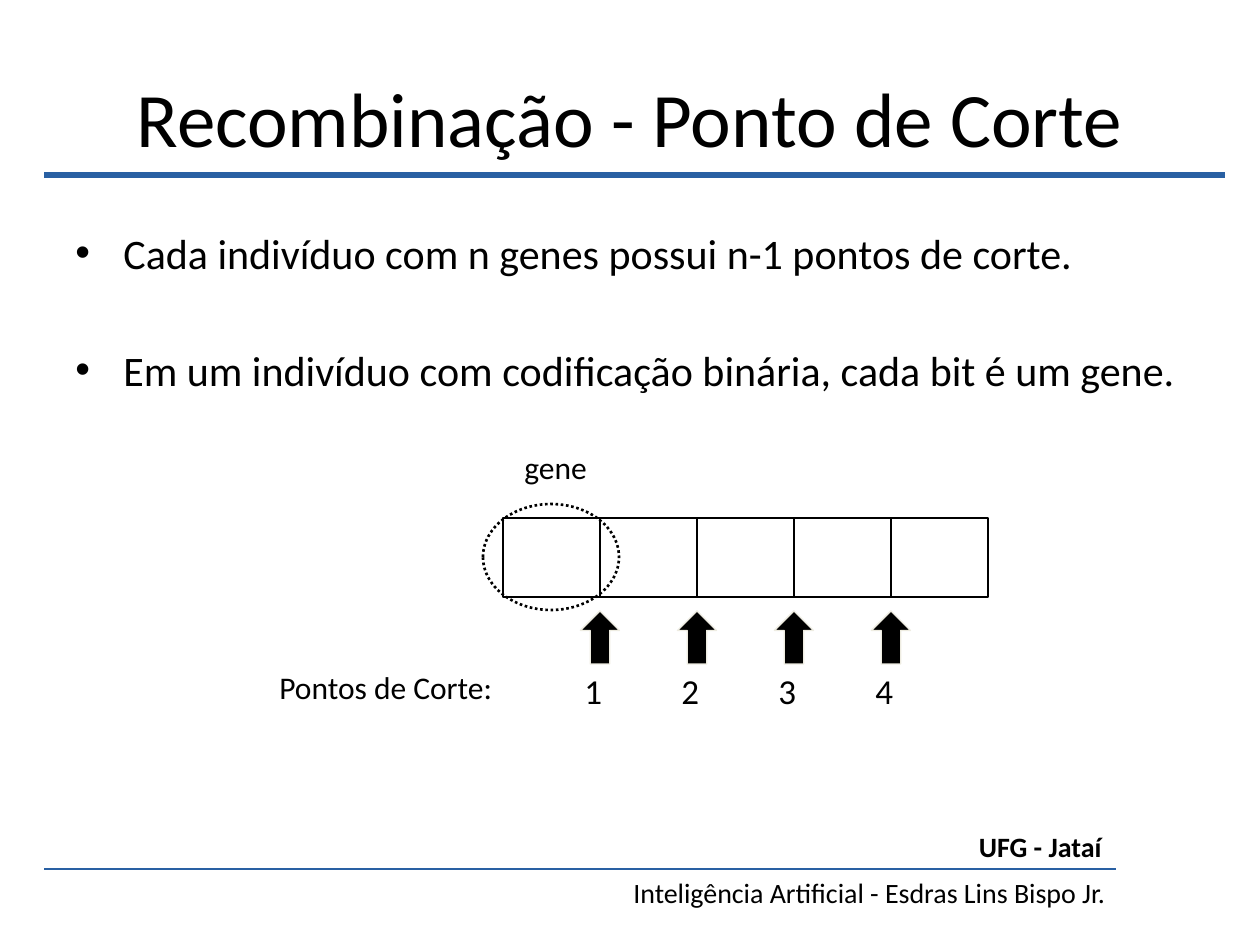
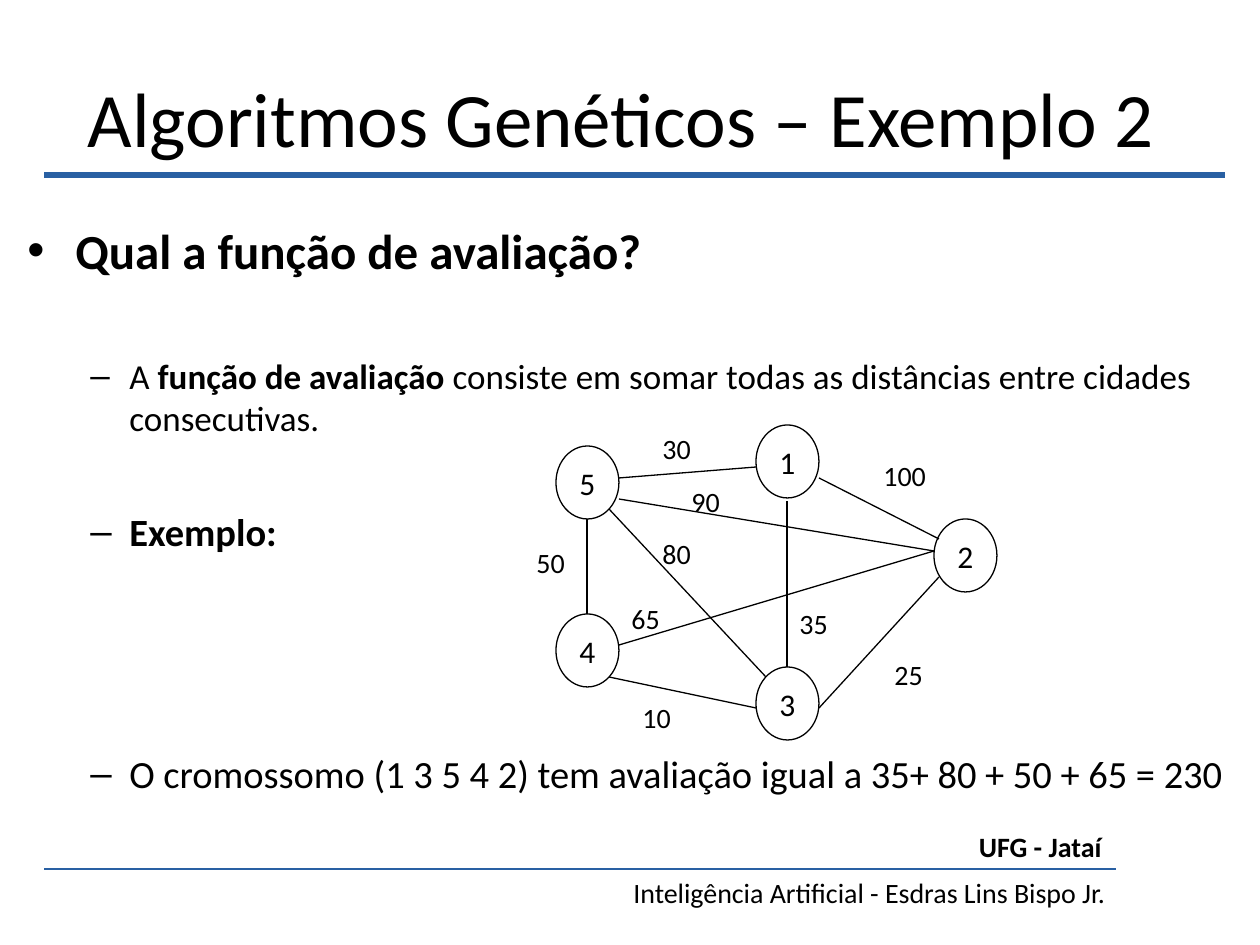
from lxml.etree import SubElement
from pptx import Presentation
from pptx.dml.color import RGBColor
from pptx.enum.dml import MSO_LINE
from pptx.enum.shapes import MSO_CONNECTOR, MSO_SHAPE
from pptx.enum.text import MSO_ANCHOR, MSO_AUTO_SIZE, PP_ALIGN
from pptx.oxml.ns import qn
from pptx.util import Emu, Pt

# Shared style
FONT = "Calibri"
COLORS = {"text": "000000", "rule": "2960A3", "arrow_edge": "EEECE1"}
PX_PER_INCH = 126
TITLE_BOX = (63, 38, 1134, 157)
RULES = [(1225, 44, 175, 3), (1116, 44, 869, 1.5)]  # right, left, y, weight
FOOTER = [("UFG - Jataí", (964, 823, 150, 47), True),
          ("Inteligência Artificial - Esdras Lins Bispo Jr.", (615, 869, 503, 47), False)]
BULLETS = [("•", 48, 48), ("–", 102, 39)]  # per level: mark, margin, hanging

# Slide 1: paragraphs are (level, size, space before, [(text, bold)])
CUT_TITLE = "Recombinação - Ponto de Corte"
CUT_BOX = (63, 221, 1134, 624)
CUT_BODY = [
    (0, 24, 0, [("Cada indivíduo com n genes possui n-1 pontos de corte.", False)]),
    (0, 24, 38, [("Em um indivíduo com codificação binária, cada bit é um gene.", False)]),
]
GENE_COUNT = 5
GENE_LEFT, GENE_TOP, GENE_W, GENE_H = 503, 518, 97, 79
ARROW_TOP, ARROW_W, ARROW_H = 611, 39, 53
GENE_RING = (483, 504, 136, 106)
CUT_LABELS = [("gene", (512, 442, 88, 50)), ("Pontos de Corte:", (267, 662, 241, 50))]

# Slide 2
FITNESS_TITLE = "Algoritmos Genéticos – Exemplo 2 "
FITNESS_BOX = (15, 214, 1230, 624)
FITNESS_BODY = [
    (0, 28, 0, [("Qual a função de avaliação?", True)]),
    (1, 20, 43, [("A ", False), ("função de avaliação", True),
                 (" consiste em somar todas as distâncias entre cidades consecutivas.", False)]),
    (1, 22, 40, [("Exemplo:", True)]),
    (1, 22, 112, [("O cromossomo (1 3 5 4 2) tem avaliação igual a 35+ 80 + 50 + 65 = 230", False)]),
]
CITY_W, CITY_H = 63, 73
CITIES = {"1": (756, 425), "2": (934, 519), "3": (756, 667), "4": (556, 614), "5": (556, 446)}
ROADS = [  # start, end, distance, label corner
    ((619, 478), (756, 467), "30", (650, 425)),
    ((587, 519), (587, 614), "50", (524, 539)),
    ((609, 677), (756, 708), "10", (630, 694)),
    ((819, 708), (939, 577), "25", (882, 651)),
    ((819, 478), (939, 539), "100", (871, 452)),
    ((934, 551), (619, 645), "65", (619, 595)),
    ((934, 551), (619, 499), "90", (679, 478)),
    ((787, 667), (787, 501), "35", (787, 600)),
    ((766, 677), (609, 509), "80", (650, 530)),
]


def px(*values):
    return [Emu(round(v * 914400 / PX_PER_INCH)) for v in values]


def rgb(name):
    return RGBColor.from_string(COLORS[name])


def add_run(p, text, size, bold=False):
    r = p.add_run()
    r.text = text
    r.font.name, r.font.size, r.font.bold = FONT, Pt(size), bold
    r.font.color.rgb = rgb("text")


def add_label(s, text, box, size, bold=False, align=PP_ALIGN.LEFT):
    tf = s.shapes.add_textbox(*px(*box)).text_frame
    tf.word_wrap = False
    p = tf.paragraphs[0]
    p.alignment = align
    add_run(p, text, size, bold)


def add_line(s, start, end, color, weight):
    line = s.shapes.add_connector(MSO_CONNECTOR.STRAIGHT, *px(*start, *end))
    line.line.color.rgb = rgb(color)
    line.line.width = Pt(weight)
    SubElement(line._element.spPr, qn("a:effectLst"))


def add_figure(s, kind, box, weight, fill=None, line="text"):
    sp = s.shapes.add_shape(kind, *px(*box))
    sp.shadow.inherit = False
    if fill:
        sp.fill.solid()
        sp.fill.fore_color.rgb = rgb(fill)
    else:
        sp.fill.background()
    sp.line.color.rgb = rgb(line)
    sp.line.width = Pt(weight)
    return sp


def add_body(s, box, paragraphs):
    tf = s.shapes.add_textbox(*px(*box)).text_frame
    tf.word_wrap = True
    for i, (level, size, before, runs) in enumerate(paragraphs):
        p = tf.add_paragraph() if i else tf.paragraphs[0]
        p.level = level
        p.space_before = Pt(before)
        mark, margin, hanging = BULLETS[level]
        pPr = p._p.get_or_add_pPr()
        pPr.set("marL", str(px(margin)[0]))
        pPr.set("indent", str(-px(hanging)[0]))
        SubElement(pPr, qn("a:buFont"), typeface="Arial")
        SubElement(pPr, qn("a:buChar"), char=mark)
        for text, bold in runs:
            add_run(p, text, size, bold)


def add_slide(prs, title, body_box, body):
    s = prs.slides.add_slide(prs.slide_layouts[5])
    sp = s.shapes.title
    sp.left, sp.top, sp.width, sp.height = px(*TITLE_BOX)
    tf = sp.text_frame
    tf.auto_size = MSO_AUTO_SIZE.NONE
    tf.vertical_anchor = MSO_ANCHOR.MIDDLE
    tf.paragraphs[0].alignment = PP_ALIGN.CENTER
    add_run(tf.paragraphs[0], title, 44)
    add_body(s, body_box, body)
    # Rules and footer
    for right, left, y, weight in RULES:
        add_line(s, (right, y), (left, y), "rule", weight)
    for text, box, bold in FOOTER:
        add_label(s, text, box, 16, bold, PP_ALIGN.RIGHT)
    return s


def draw_cut_points(s):
    # Row of genes
    for i in range(GENE_COUNT):
        box = (GENE_LEFT + i * GENE_W, GENE_TOP, GENE_W, GENE_H)
        add_figure(s, MSO_SHAPE.RECTANGLE, box, 1.5)
    # A numbered arrow at each inner boundary
    for i in range(1, GENE_COUNT):
        x = GENE_LEFT + i * GENE_W
        add_figure(s, MSO_SHAPE.UP_ARROW, (x - ARROW_W / 2, ARROW_TOP, ARROW_W, ARROW_H),
                   0.75, "text", "arrow_edge")
        add_label(s, str(i), (x - 28, 663, 43, 55), 20)
    ring = add_figure(s, MSO_SHAPE.OVAL, GENE_RING, 1.5)
    ring.line.dash_style = MSO_LINE.ROUND_DOT
    for text, box in CUT_LABELS:
        add_label(s, text, box, 18)


def draw_city_graph(s):
    for start, end, _, _ in ROADS:
        add_line(s, start, end, "text", 0.75)
    for name, (x, y) in CITIES.items():
        tf = add_figure(s, MSO_SHAPE.OVAL, (x, y, CITY_W, CITY_H), 0.75).text_frame
        tf.word_wrap = False
        tf.vertical_anchor = MSO_ANCHOR.MIDDLE
        tf.paragraphs[0].alignment = PP_ALIGN.CENTER
        add_run(tf.paragraphs[0], name, 18)
    for _, _, distance, (x, y) in ROADS:
        add_label(s, distance, (x, y, 26 + 14 * len(distance), 47), 16)


def main():
    prs = Presentation()
    prs.slide_width, prs.slide_height = px(1260, 945)
    draw_cut_points(add_slide(prs, CUT_TITLE, CUT_BOX, CUT_BODY))
    draw_city_graph(add_slide(prs, FITNESS_TITLE, FITNESS_BOX, FITNESS_BODY))
    prs.save("out.pptx")


if __name__ == "__main__":
    main()
